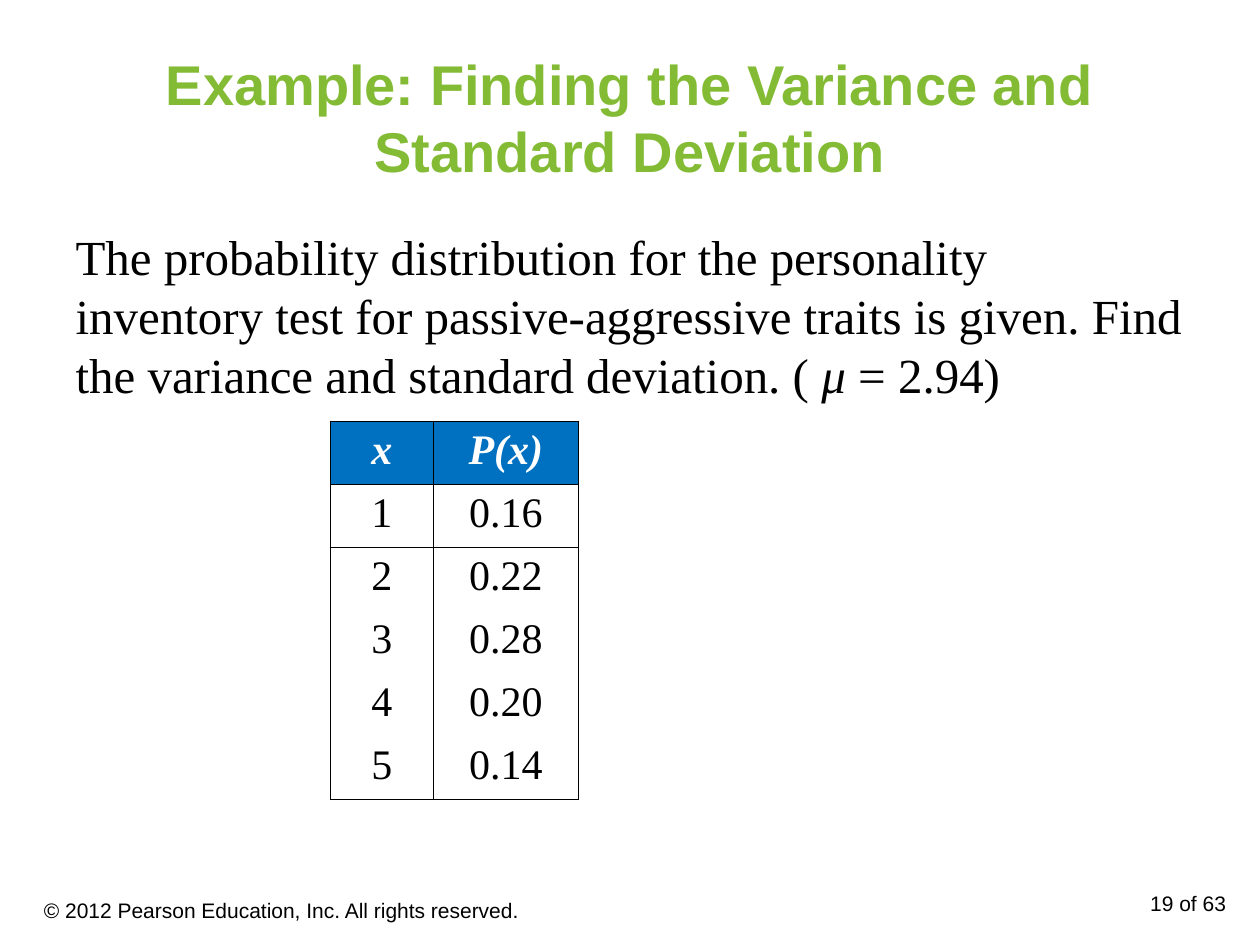
from dataclasses import dataclass

from lxml import etree
from pptx import Presentation
from pptx.dml.color import RGBColor
from pptx.enum.text import MSO_ANCHOR, MSO_AUTO_SIZE, PP_ALIGN
from pptx.oxml.ns import qn
from pptx.util import Inches, Pt

LEFT, CENTER, RIGHT = PP_ALIGN.LEFT, PP_ALIGN.CENTER, PP_ALIGN.RIGHT
TOP, MIDDLE = MSO_ANCHOR.TOP, MSO_ANCHOR.MIDDLE
NO_FIT = MSO_AUTO_SIZE.NONE
PLAIN_TABLE = "{2D5ABB26-0587-4C30-8999-92F81FD0307C}"


@dataclass(frozen=True)
class Theme:
    sans: str = "Arial"
    serif: str = "Times New Roman"
    heading: str = "83BB35"
    header_fill: str = "0070C0"
    ink: str = "000000"
    paper: str = "FFFFFF"
    title_size: float = 32
    body_size: float = 28
    table_size: float = 24
    footer_size: float = 12
    rule: float = 0.45


def add_text(p, text, *, font, size, color, bold=False, italic=False):
    r = p.add_run()
    r.text = text
    r.font.name = font
    r.font.size = Pt(size)
    r.font.bold = bold
    r.font.italic = italic
    r.font.color.rgb = RGBColor.from_string(color)


def place(sp, box):
    sp.left, sp.top, sp.width, sp.height = map(Inches, box)


def frame(sp, anchor):
    tf = sp.text_frame
    tf.word_wrap = True
    tf.auto_size = NO_FIT
    tf.vertical_anchor = anchor
    return tf.paragraphs[0]


class SlideBuilder:
    def __init__(self, prs, theme):
        self.theme = theme
        self.s = prs.slides.add_slide(prs.slide_layouts[1])

    def title(self, text, box):
        t, sp = self.theme, self.s.shapes.title
        place(sp, box)
        p = frame(sp, MIDDLE)
        p.alignment = CENTER
        add_text(p, text, font=t.sans, size=t.title_size, color=t.heading, bold=True)

    def body(self, parts, box):
        t, sp = self.theme, self.s.placeholders[1]
        place(sp, box)
        p = frame(sp, TOP)
        p.alignment = LEFT
        p.space_before = Pt(0)
        pPr = p._p.get_or_add_pPr()
        pPr.set("marL", "0")
        pPr.set("indent", "0")
        etree.SubElement(pPr, qn("a:buNone"))
        for text, italic in parts:
            add_text(p, text, font=t.serif, size=t.body_size, color=t.ink, italic=italic)

    def footer(self, text, box, align=LEFT, anchor=TOP):
        t = self.theme
        p = frame(self.s.shapes.add_textbox(*map(Inches, box)), anchor)
        p.alignment = align
        add_text(p, text, font=t.sans, size=t.footer_size, color=t.ink)

    def borders(self, cell, sides):
        tcPr = cell._tc.get_or_add_tcPr()
        for side in sides:
            ln = etree.SubElement(tcPr, qn(f"a:ln{side}"), w=str(int(Pt(self.theme.rule))))
            fill = etree.SubElement(ln, qn("a:solidFill"))
            etree.SubElement(fill, qn("a:srgbClr"), val=self.theme.ink)

    def table(self, rows, left, top, widths, row_height):
        t = self.theme
        size = (sum(widths), row_height * len(rows))
        tbl = self.s.shapes.add_table(
            len(rows), len(widths), *map(Inches, (left, top, *size))).table
        tbl.horz_banding = False
        tbl._tbl.tblPr.find(qn("a:tableStyleId")).text = PLAIN_TABLE
        for column, width in zip(tbl.columns, widths):
            column.width = Inches(width)
        for i, values in enumerate(rows):
            header = i == 0
            sides = "LRTB" if header else "LRT" if i == 1 else "LR"
            if i == len(rows) - 1:
                sides += "B"
            for j, value in enumerate(values):
                cell = tbl.cell(i, j)
                self.borders(cell, sides)
                if header:
                    cell.fill.solid()
                    cell.fill.fore_color.rgb = RGBColor.from_string(t.header_fill)
                else:
                    cell.fill.background()
                p = cell.text_frame.paragraphs[0]
                p.alignment = CENTER
                add_text(p, value, font=t.serif, size=t.table_size,
                         color=t.paper if header else t.ink, bold=header, italic=header)


def main():
    prs = Presentation()
    prs.slide_width, prs.slide_height = Inches(10), Inches(7.5)
    slide = SlideBuilder(prs, Theme())
    slide.title("Example: Finding the Variance and Standard Deviation", (0.5, 0.3, 9, 1.25))
    slide.body([
        ("The probability distribution for the personality inventory test for "
         "passive-aggressive traits is given. Find the variance and standard deviation. ( ", False),
        ("μ", True),
        (" = 2.94)", False),
    ], (0.5, 1.75, 9, 1.51))
    distribution = [("x", "P(x)"), ("1", "0.16"), ("2", "0.22"),
                    ("3", "0.28"), ("4", "0.20"), ("5", "0.14")]
    slide.table(distribution, 2.62, 3.34, (0.82, 1.15), 0.5)
    slide.footer("© 2012 Pearson Education, Inc. All rights reserved.",
                 (0.25, 7.02, 4.75, 0.4), anchor=MIDDLE)
    slide.footer("19 of 63", (7.5, 7.02, 2.33, 0.4), align=RIGHT)
    prs.save("out.pptx")


if __name__ == "__main__":
    main()
